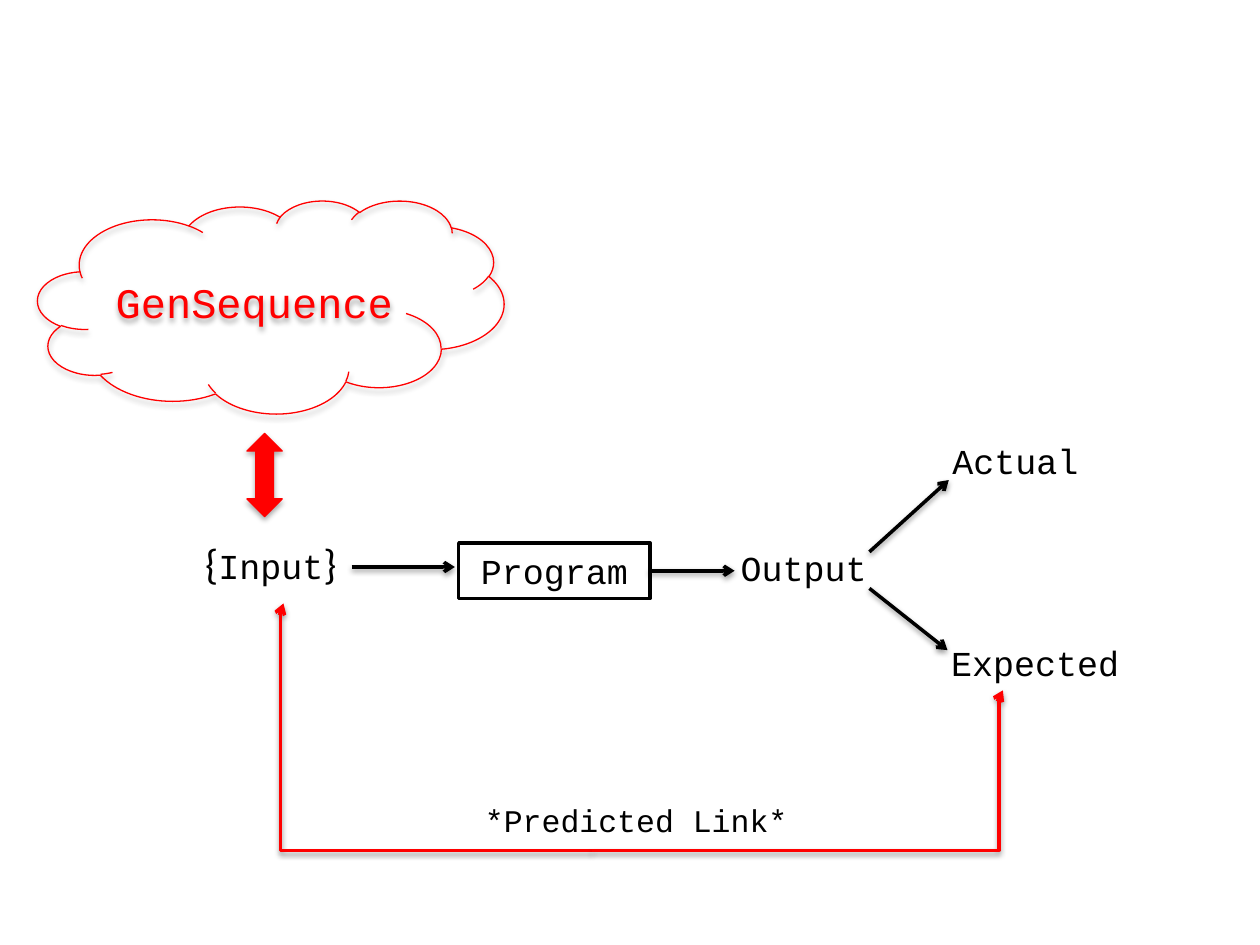
"""Build a slide that shows a program's input, its outputs and the predicted link."""
from dataclasses import dataclass
from typing import Optional

from lxml import etree
from pptx import Presentation
from pptx import util as u
from pptx.dml.color import RGBColor
from pptx.enum import shapes, text
from pptx.oxml import ns

BLACK = RGBColor(0x00, 0x00, 0x00)
WHITE = RGBColor(0xFF, 0xFF, 0xFF)
RED = RGBColor(0xFF, 0x00, 0x00)
CODE_FONT = "Courier New"
BRACE_FONT = "Calibri"


@dataclass(frozen=True)
class Run:
    text: str
    size: int = 20
    font: str = CODE_FONT
    color: RGBColor = BLACK


@dataclass(frozen=True)
class Label:
    left: float
    top: float
    width: float
    height: float
    runs: tuple[Run, ...]
    alignment: text.PP_ALIGN = text.PP_ALIGN.LEFT


@dataclass(frozen=True)
class Arrow:
    start: tuple[float, float]
    end: tuple[float, float]
    color: RGBColor = BLACK
    bend: Optional[float] = None


@dataclass(frozen=True)
class RedShape:
    kind: shapes.MSO_SHAPE
    left: float
    top: float
    width: float
    height: float
    filled: bool


INPUT = Label(1.46, 4.22, 1.38, 0.5,
              (Run("{", 24, BRACE_FONT), Run("Input"), Run("}", 24, BRACE_FONT)),
              text.PP_ALIGN.CENTER)
PROGRAM = Label(3.64, 4.31, 1.52, 0.44, (Run("Program"),), text.PP_ALIGN.CENTER)
LABELS = (
    INPUT,
    Label(5.78, 4.29, 1.23, 0.44, (Run("Output"),)),
    Label(7.46, 3.44, 1.38, 0.44, (Run("Actual"),)),
    Label(7.45, 5.04, 1.56, 0.44, (Run("Expected"),)),
    Label(3.75, 6.31, 2.81, 0.4, (Run("*Predicted Link*", 18),)),
)
LINK_START = (4.7, 6.75)
ARROWS = (
    Arrow((2.79, 4.5), (3.61, 4.5)),
    Arrow((5.15, 4.53), (5.83, 4.53)),
    Arrow((6.9, 4.38), (7.53, 3.81)),
    Arrow((6.9, 4.67), (7.52, 5.16)),
    Arrow(LINK_START, (2.25, 4.79), RED, 1.01),
    Arrow(LINK_START, (7.96, 5.48), RED, 0.99),
)
CLOUD = RedShape(shapes.MSO_SHAPE.CLOUD, 0.3, 1.59, 3.7, 1.69, False)
DOUBLE_ARROW = RedShape(shapes.MSO_SHAPE.UP_DOWN_ARROW, 1.96, 3.44, 0.28, 0.66, True)


def add_shadow(shape, distance: float, opacity: int) -> None:
    effects = etree.SubElement(shape._element.spPr, ns.qn("a:effectLst"))
    shadow = etree.SubElement(effects, ns.qn("a:outerShdw"), blurRad=str(u.Pt(3.15)),
                              dist=str(u.Pt(distance)), dir="5400000", rotWithShape="0")
    color = etree.SubElement(shadow, ns.qn("a:srgbClr"), val=str(BLACK))
    etree.SubElement(color, ns.qn("a:alpha"), val=str(opacity * 1000))


def write_runs(paragraph, runs: tuple[Run, ...], alignment: text.PP_ALIGN) -> None:
    paragraph.alignment = alignment
    for item in runs:
        run = paragraph.add_run()
        run.text = item.text
        run.font.size = u.Pt(item.size)
        run.font.name = item.font
        run.font.color.rgb = item.color


def fill_label(shape, label: Label) -> None:
    frame = shape.text_frame
    frame.word_wrap = True
    frame.auto_size = text.MSO_AUTO_SIZE.SHAPE_TO_FIT_TEXT
    frame.vertical_anchor = text.MSO_ANCHOR.TOP
    write_runs(frame.paragraphs[0], label.runs, label.alignment)


def add_label(slide, label: Label) -> None:
    box = slide.shapes.add_textbox(u.Inches(label.left), u.Inches(label.top),
                                   u.Inches(label.width), u.Inches(label.height))
    fill_label(box, label)


def add_program(slide, label: Label) -> None:
    shape = slide.shapes.add_shape(shapes.MSO_SHAPE.RECTANGLE,
                                   u.Inches(label.left), u.Inches(label.top),
                                   u.Inches(label.width), u.Inches(label.height))
    shape.shadow.inherit = False
    shape.fill.solid()
    shape.fill.fore_color.rgb = WHITE
    shape.line.color.rgb = BLACK
    shape.line.width = u.Pt(2)
    fill_label(shape, label)


def add_arrow(slide, arrow: Arrow) -> None:
    kind = shapes.MSO_CONNECTOR.STRAIGHT if arrow.bend is None else shapes.MSO_CONNECTOR.ELBOW
    connector = slide.shapes.add_connector(kind, *map(u.Inches, arrow.start + arrow.end))
    connector.line.color.rgb = arrow.color
    connector.line.width = u.Pt(2)
    properties = connector._element.spPr
    etree.SubElement(properties.find(ns.qn("a:ln")), ns.qn("a:tailEnd"), type="arrow")
    if arrow.bend is not None:
        guides = properties.find(ns.qn("a:prstGeom")).find(ns.qn("a:avLst"))
        etree.SubElement(guides, ns.qn("a:gd"), name="adj1",
                         fmla=f"val {round(arrow.bend * 100000)}")
    add_shadow(connector, 1.57, 38)


def add_red_shape(slide, item: RedShape):
    shape = slide.shapes.add_shape(item.kind, u.Inches(item.left), u.Inches(item.top),
                                   u.Inches(item.width), u.Inches(item.height))
    if item.filled:
        shape.fill.solid()
        shape.fill.fore_color.rgb = RED
    else:
        shape.fill.background()
    shape.line.color.rgb = RED
    shape.line.width = u.Pt(0.75)
    add_shadow(shape, 1.81, 35)
    return shape


def main() -> None:
    presentation = Presentation()
    presentation.slide_width = u.Inches(10)
    presentation.slide_height = u.Inches(7.5)
    slide = presentation.slides.add_slide(presentation.slide_layouts[6])
    add_program(slide, PROGRAM)
    for label in LABELS:
        add_label(slide, label)
    cloud = add_red_shape(slide, CLOUD)
    cloud.text_frame.vertical_anchor = text.MSO_ANCHOR.MIDDLE
    write_runs(cloud.text_frame.paragraphs[0],
               (Run("GenSequence", 24, color=RED),), text.PP_ALIGN.CENTER)
    add_red_shape(slide, DOUBLE_ARROW)
    for arrow in ARROWS:
        add_arrow(slide, arrow)
    presentation.save("out.pptx")


if __name__ == "__main__":
    main()
